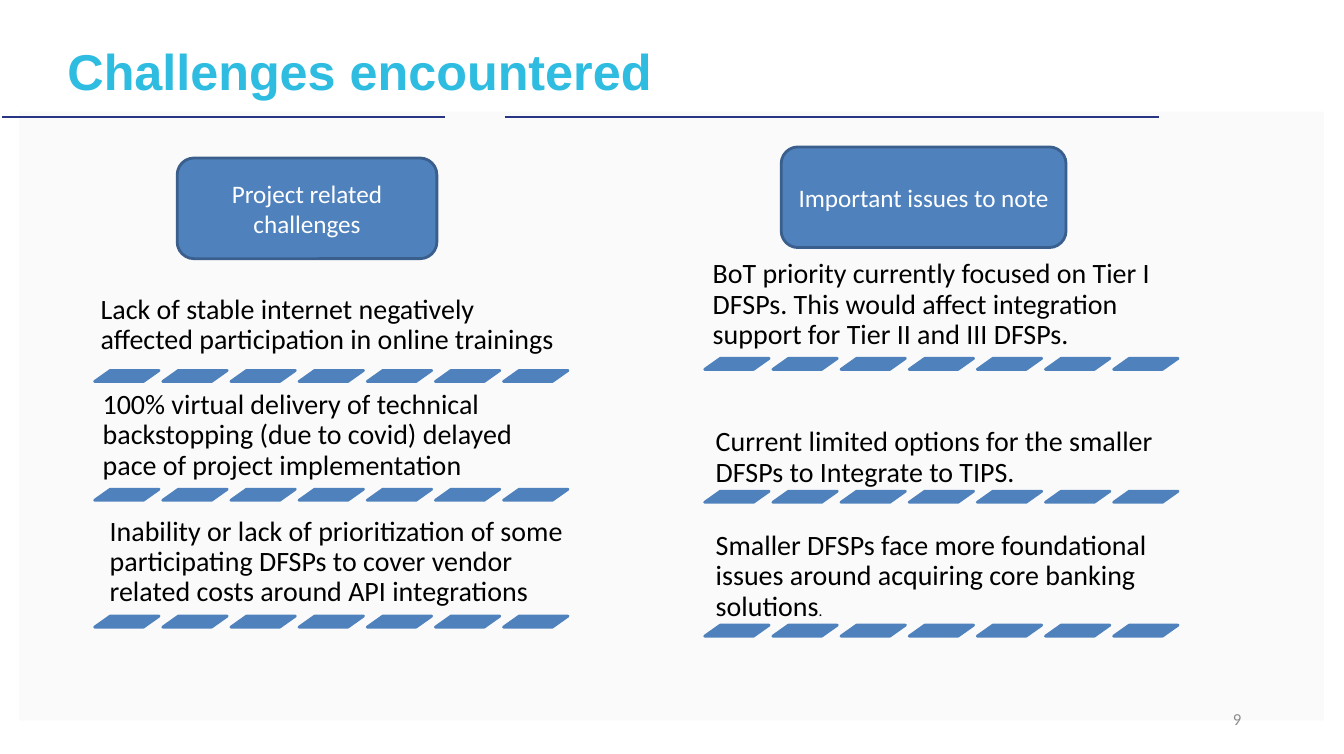
from dataclasses import dataclass

from lxml.etree import SubElement
from pptx import Presentation
from pptx.dml.color import RGBColor
from pptx.enum.shapes import MSO_CONNECTOR, MSO_SHAPE
from pptx.enum.text import MSO_ANCHOR, PP_ALIGN
from pptx.oxml.ns import qn
from pptx.util import Inches, Pt

WIDTH, HEIGHT = 13.35, 7.49
BLUE = RGBColor(0x4F, 0x81, 0xBD)
DARK_BLUE = RGBColor(0x3A, 0x5F, 0x8C)
NAVY = RGBColor(0x28, 0x35, 0x83)
CYAN = RGBColor(0x2E, 0xBC, 0xE1)
PALE = RGBColor(0xF6, 0xF6, 0xF6)
GREY = RGBColor(0x8C, 0x8C, 0x8C)
BLACK = RGBColor(0, 0, 0)
WHITE = RGBColor(0xFF, 0xFF, 0xFF)
DASHES, DASH_PITCH, DASH_WIDTH, DASH_HEIGHT = 7, 0.677, 0.64, 0.11
ISSUE_WIDTH, ISSUE_INSET = 4.8, 0.08


@dataclass
class Issue:
    """A statement and its place in a column; lift is the gap above its dashes."""
    text: str
    dashes_top: float
    height: float
    indent: float = 0
    lift: float = 0
    ending: str = ""


def style_runs(paragraph, size, color, font="Calibri", bold=False):
    """Format every run of a paragraph alike."""
    for run in paragraph.runs:
        run.font.name, run.font.size, run.font.bold = font, Pt(size), bold
        run.font.color.rgb = color


def add_block(slide, preset, box, fill, line=None):
    """Add a flat preset shape in a box given in inches."""
    block = slide.shapes.add_shape(preset, *map(Inches, box))
    block.shadow.inherit = False
    block.fill.solid()
    block.fill.fore_color.rgb = fill
    if line is None:
        block.line.fill.background()
    else:
        block.line.color.rgb = line
        block.line.width = Pt(2)
    return block


def add_text(slide, box, text, anchor, inset=None):
    """Add a wrapping text box and return its first paragraph."""
    frame = slide.shapes.add_textbox(*map(Inches, box)).text_frame
    frame.word_wrap = True
    frame.vertical_anchor = anchor
    if inset is not None:
        frame.margin_left = frame.margin_right = Inches(inset)
        frame.margin_top = frame.margin_bottom = Inches(inset)
    frame.text = text
    return frame.paragraphs[0]


def add_backdrop(slide, box):
    """Lay the half-transparent panel and the two header lines over its top edge."""
    left, top, width, height = box
    panel = add_block(slide, MSO_SHAPE.RECTANGLE, box, PALE)
    color = panel.fill._xPr.find(qn("a:solidFill"))[0]
    SubElement(color, qn("a:alpha"), val="50000")
    line_top = Inches(top + 0.05)
    for start, end in ((-0.17, 4.23), (4.83, 11.32)):
        header_line = slide.shapes.add_connector(
            MSO_CONNECTOR.STRAIGHT, Inches(left + start), line_top, Inches(left + end), line_top)
        header_line.line.color.rgb = NAVY
        header_line.line.width = Pt(1.5)
        SubElement(header_line._element.spPr, qn("a:effectLst"))


def add_title(slide, box, text):
    """Write the slide title."""
    title = add_text(slide, box, text, MSO_ANCHOR.MIDDLE, 0)
    style_runs(title, 36, CYAN, "Arial", True)


def add_page_number(slide, box, number):
    """Write the page number at the right of its box."""
    page = add_text(slide, box, str(number), MSO_ANCHOR.MIDDLE)
    page.alignment = PP_ALIGN.RIGHT
    style_runs(page, 12, GREY)


def add_dashes(slide, left, top):
    """Draw a row of evenly spaced slanted dashes."""
    for index in range(DASHES):
        box = (left + index * DASH_PITCH, top, DASH_WIDTH, DASH_HEIGHT)
        dash = add_block(slide, MSO_SHAPE.PARALLELOGRAM, box, BLUE, BLUE)
        dash.adjustments[0] = 1.41


def add_column(slide, left, top, heading, heading_indent, heading_width, issues):
    """Place a heading and its issues, each underlined by dashes."""
    box = (left + heading_indent, top, heading_width, 1)
    header = add_block(slide, MSO_SHAPE.ROUNDED_RECTANGLE, box, BLUE, DARK_BLUE)
    header.text_frame.word_wrap = True
    header.text_frame.vertical_anchor = MSO_ANCHOR.MIDDLE
    header.text_frame.text = heading
    label = header.text_frame.paragraphs[0]
    label.alignment = PP_ALIGN.CENTER
    style_runs(label, 18, WHITE)
    for issue in issues:
        dashes_top = top + issue.dashes_top
        text_box = (left + issue.indent, dashes_top - issue.lift - issue.height,
                    ISSUE_WIDTH, issue.height)
        statement = add_text(slide, text_box, issue.text, MSO_ANCHOR.BOTTOM, ISSUE_INSET)
        statement.line_spacing = 0.9
        style_runs(statement, 20, BLACK)
        if issue.ending:
            ending = statement.add_run()
            ending.text = issue.ending
            ending.font.name, ending.font.size = "Calibri", Pt(11)
            ending.font.color.rgb = BLACK
        add_dashes(slide, left, dashes_top)


def main():
    """Build the slide and save it."""
    deck = Presentation()
    deck.slide_width, deck.slide_height = Inches(WIDTH), Inches(HEIGHT)
    slide = deck.slides.add_slide(deck.slide_layouts[6])
    add_backdrop(slide, (0.19, 1.11, 12.96, 6.05))
    add_title(slide, (0.67, 0.24, 10.83, 0.92), "Challenges encountered")
    add_column(slide, 0.94, 1.57, "Project related challenges", 0.82, 2.58, [
        Issue("Lack of stable internet negatively affected participation in online trainings",
              2.11, 1.25, indent=-0.02, lift=0.07),
        Issue("100% virtual delivery of technical backstopping (due to covid) delayed "
              "pace of project implementation", 3.29, 0.96),
        Issue("Inability or lack of prioritization of some participating DFSPs to cover "
              "vendor related costs around API integrations", 4.55, 1.04, indent=0.07),
    ])
    add_column(slide, 7, 1.46, "Important issues to note", 0.76, 2.83, [
        Issue("BoT priority currently focused on Tier I DFSPs. This would affect "
              "integration support for Tier II and III DFSPs.", 2.1, 1.07),
        Issue("Current limited options for the smaller DFSPs to Integrate to TIPS.",
              3.42, 1.1, indent=0.03, lift=-0.05),
        Issue("Smaller DFSPs face more foundational issues around acquiring core "
              "banking solutions", 4.75, 1.1, indent=0.03, lift=-0.05, ending="."),
    ])
    add_page_number(slide, (9.43, 6.94, 3, 0.4), 9)
    deck.save("out.pptx")


if __name__ == "__main__":
    main()
